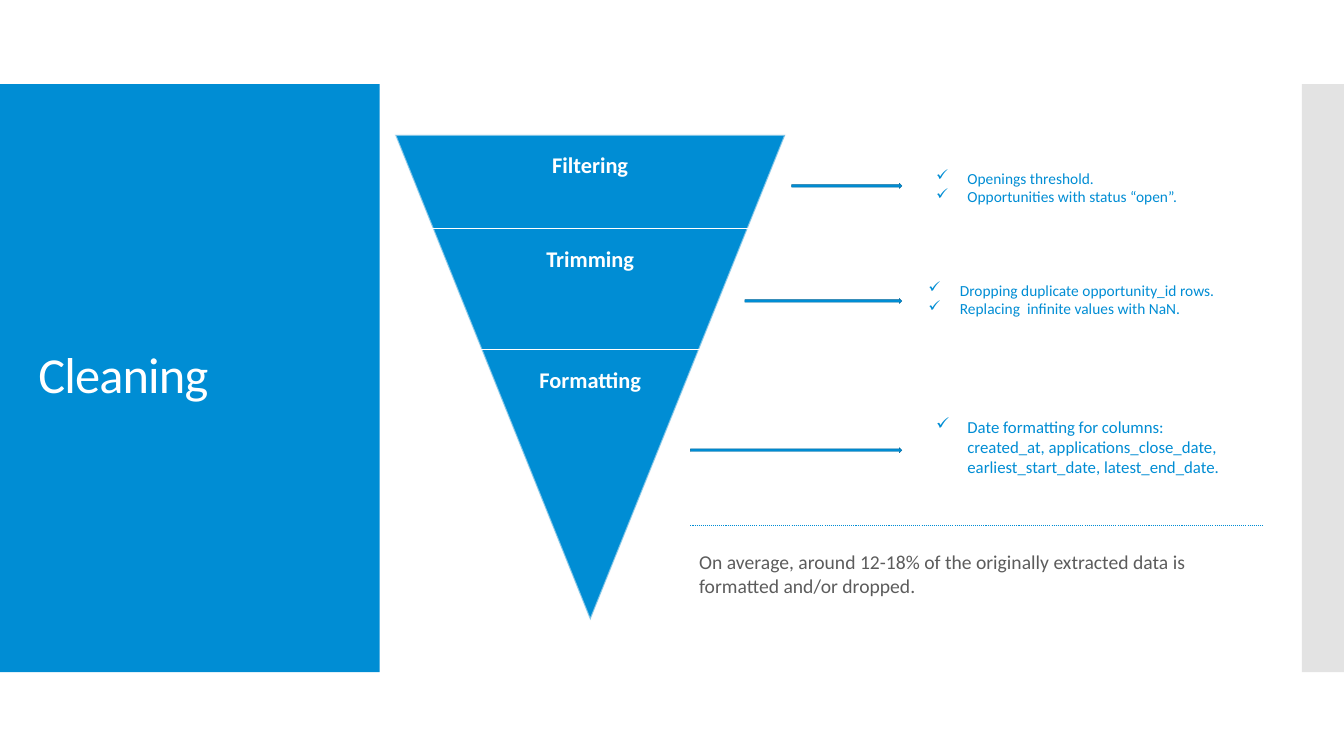
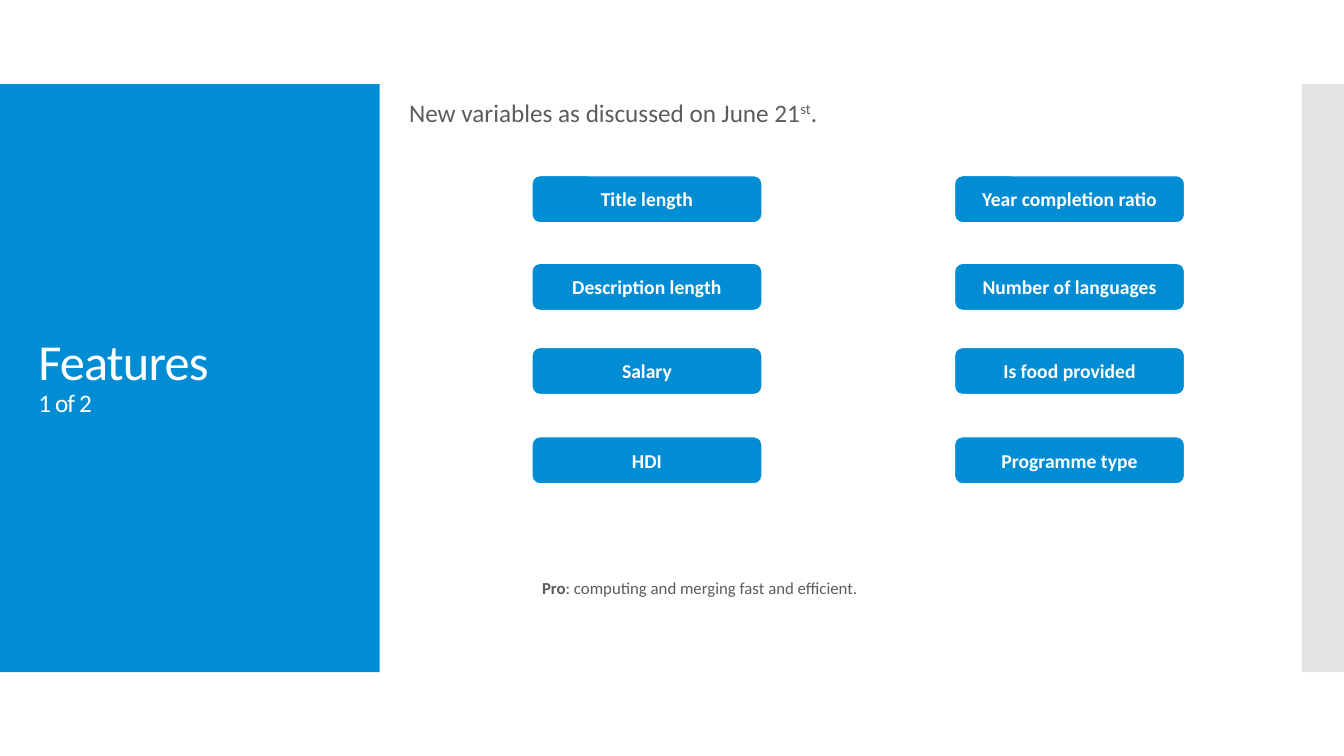
import pptx
import pptx.dml.color
import pptx.enum.dml
import pptx.enum.shapes
import pptx.enum.text
import pptx.oxml
import pptx.oxml.ns
import pptx.util
from dataclasses import dataclass

Cm, Pt = pptx.util.Cm, pptx.util.Pt
Kind = pptx.enum.shapes.MSO_SHAPE
Align = pptx.enum.text.PP_ALIGN
Anchor = pptx.enum.text.MSO_ANCHOR
Fit = pptx.enum.text.MSO_AUTO_SIZE
Dash = pptx.enum.dml.MSO_LINE
qn = pptx.oxml.ns.qn


# Colours and type sizes
@dataclass(frozen=True)
class Theme:
    font: str = "Calibri"
    blue: str = "008DD4"
    edge: str = "00689D"
    grey: str = "C8C8C8"
    ink: str = "5C5C5C"
    pale: str = "F9F9F9"
    white: str = "FFFFFF"
    title: float = 36
    lead: float = 18
    step: float = 16
    body: float = 14
    note: float = 12
    small: float = 11


T = Theme()


# Basic helpers
def rgb(code):
    return pptx.dml.color.RGBColor.from_string(code)


def box(*size):
    return [Cm(n) for n in size]


def xml(tag, **attrs):
    node = pptx.oxml.parse_xml(f'<a:{tag} {pptx.oxml.ns.nsdecls("a")}/>')
    for key, val in attrs.items():
        node.set(key, str(val))
    return node


def fade(part):
    for color in part.iter(qn("a:srgbClr")):
        color.append(xml("alpha", val=50000))


def write(para, text, size, color, **more):
    run = para.add_run()
    run.text = text
    form = {"name": T.font, "size": Pt(size), **more}
    for key, val in form.items():
        setattr(run.font, key, val)
    run.font.color.rgb = rgb(color)
    return run


def shape(shapes, kind, place, fill, line=None, width=0.75):
    item = shapes.add_shape(kind, *box(*place))
    item.shadow.inherit = False
    item.fill.solid()
    item.fill.fore_color.rgb = rgb(fill)
    if line:
        item.line.color.rgb = rgb(line)
        item.line.width = Pt(width)
    else:
        item.line.fill.background()
    return item


def rule(shapes, left, right, top, color, dash=None):
    item = shapes.add_connector(pptx.enum.shapes.MSO_CONNECTOR.STRAIGHT,
                                *box(left, top, right, top))
    item.line.color.rgb = rgb(color)
    item.line.width = Pt(0.75)
    if dash:
        item.line.dash_style = dash
    item._element.spPr.append(xml("effectLst"))


def label(shapes, place):
    frame = shapes.add_textbox(*box(*place)).text_frame
    frame.word_wrap = True
    frame.auto_size = Fit.SHAPE_TO_FIT_TEXT
    return frame


def checks(shapes, place, lines, size):
    frame = label(shapes, place)
    for num, text in enumerate(lines):
        para = frame.add_paragraph() if num else frame.paragraphs[0]
        props = para._p.get_or_add_pPr()
        props.set("marL", str(Cm(0.79)))
        props.set("indent", str(-Cm(0.79)))
        props.append(xml("buChar", char="✓"))
        write(para, text, size, T.blue)


# Shared layout: side bands and title style
def setup(deck):
    layout = deck.slide_layouts.get_by_name("Title Only")
    title = layout.placeholders[0]
    title.left, title.top, title.width, title.height = box(0.71, 3.12, 8.18, 12.78)
    frame = title.text_frame
    frame.vertical_anchor = Anchor.MIDDLE
    frame.auto_size = Fit.NONE
    style = frame._txBody.find(qn("a:lstStyle"))
    if style is None:
        style = xml("lstStyle")
        frame._txBody.insert(1, style)
    for old in list(style):
        style.remove(old)
    style.append(pptx.oxml.parse_xml(
        f'<a:lvl1pPr {pptx.oxml.ns.nsdecls("a")} algn="l">'
        '<a:lnSpc><a:spcPct val="90000"/></a:lnSpc>'
        f'<a:defRPr sz="{T.title * 100}" spc="-60">'
        f'<a:solidFill><a:srgbClr val="{T.white}"/></a:solidFill>'
        f'<a:latin typeface="{T.font}"/></a:defRPr></a:lvl1pPr>'))
    return layout


def bands(slide, layout):
    left = shape(slide.shapes, Kind.RECTANGLE, (0, 2.12, 9.57, 14.82), T.blue)
    right = shape(slide.shapes, Kind.RECTANGLE, (32.81, 2.12, 1.06, 14.82), T.grey)
    fade(right._element.spPr)
    for num, item in enumerate((left, right)):
        node = item._element
        node.nvSpPr.cNvPr.set("id", str(90 + num))
        layout.shapes._spTree.insert(2 + num, node)


def start(deck, layout, title, sub=None):
    slide = deck.slides.add_slide(layout)
    frame = slide.shapes.title.text_frame
    frame.text = f"{title}\v{sub}" if sub else title
    if sub:
        frame.paragraphs[0].runs[-1].font.size = Pt(T.lead)
    return slide


# Funnel of steps
def funnel(slide):
    shapes = slide.shapes.add_group_shape().shapes
    cone = shape(shapes, Kind.ISOSCELES_TRIANGLE, (9.96, 3.4, 9.83, 12.22),
                 T.blue, T.pale, 1.35)
    cone.rotation = 180
    fade(cone.line._ln)
    for left, right, top in ((10.74, 19, 5.76), (11.89, 17.86, 8.81)):
        rule(shapes, left, right, top, T.white)
    for text, top in (("Filtering", 3.69), ("Trimming", 6.06), ("Formatting", 9.1)):
        para = label(shapes, (12.88, top, 3.99, 0.94)).paragraphs[0]
        para.alignment = Align.CENTER
        write(para, text, T.step, T.white, bold=True)


def cleaning(slide):
    shapes = slide.shapes
    funnel(slide)
    # Arrows share one tip
    tip = 22.73
    for left, top in ((19.95, 4.62), (18.77, 7.52), (17.4, 11.28)):
        shape(shapes, Kind.RIGHT_ARROW, (left, top, tip - left, 0.13),
              T.blue, T.edge, 0.25)
    # Details of each step
    checks(shapes, (23.34, 4.13, 7.8, 1.2),
           ["Openings threshold.", "Opportunities with status “open”."], T.small)
    checks(shapes, (23.15, 6.95, 8.92, 1.7),
           ["Dropping duplicate opportunity_id rows.",
            "Replacing  infinite values with NaN."], T.small)
    checks(shapes, (23.34, 10.38, 7.8, 1.81),
           ["Date formatting for columns: created_at, applications_close_date, "
            "earliest_start_date, latest_end_date."], T.note)
    # Summary
    rule(shapes, 17.4, 31.83, 13.25, T.blue, Dash.ROUND_DOT)
    para = label(shapes, (17.37, 13.74, 12.85, 1.46)).paragraphs[0]
    write(para, "On average, around 12-18% of the originally extracted data is "
                "formatted and/or dropped.", T.body, T.ink)


# Grid of feature buttons
def button(slide, text, left, top):
    item = shape(slide.shapes, Kind.ROUNDED_RECTANGLE, (left, top, 5.79, 1.18),
                 T.blue, T.white)
    frame = item.text_frame
    frame.word_wrap = True
    frame.vertical_anchor = Anchor.MIDDLE
    para = frame.paragraphs[0]
    para.alignment = Align.CENTER
    write(para, text, T.body, T.white, bold=True)


def features(slide):
    para = label(slide.shapes, (10.06, 2.32, 19.8, 1.03)).paragraphs[0]
    write(para, "New variables as discussed on June 21", T.lead, T.ink)
    mark = write(para, "st", T.lead, T.ink)
    mark.font._element.set("baseline", "30000")
    write(para, ".", T.lead, T.ink)

    rows = (("Title length", "Year completion ratio"),
            ("Description length", "Number of languages"),
            ("Salary", "Is food provided"),
            ("HDI", "Programme type"))
    for top, row in zip((4.43, 6.64, 8.76, 11.01), rows):
        for left, text in zip((13.41, 24.06), row):
            button(slide, text, left, top)

    para = label(slide.shapes, (13.41, 14.44, 18.97, 0.77)).paragraphs[0]
    write(para, "Pro", T.note, T.ink, bold=True)
    write(para, ": computing and merging fast and efficient.", T.note, T.ink)


def main():
    deck = pptx.Presentation()
    deck.slide_width, deck.slide_height = box(33.87, 19.05)
    layout = setup(deck)
    first = start(deck, layout, "Cleaning")
    bands(first, layout)
    cleaning(first)
    features(start(deck, layout, "Features", "1 of 2"))
    deck.save("out.pptx")


if __name__ == "__main__":
    main()
